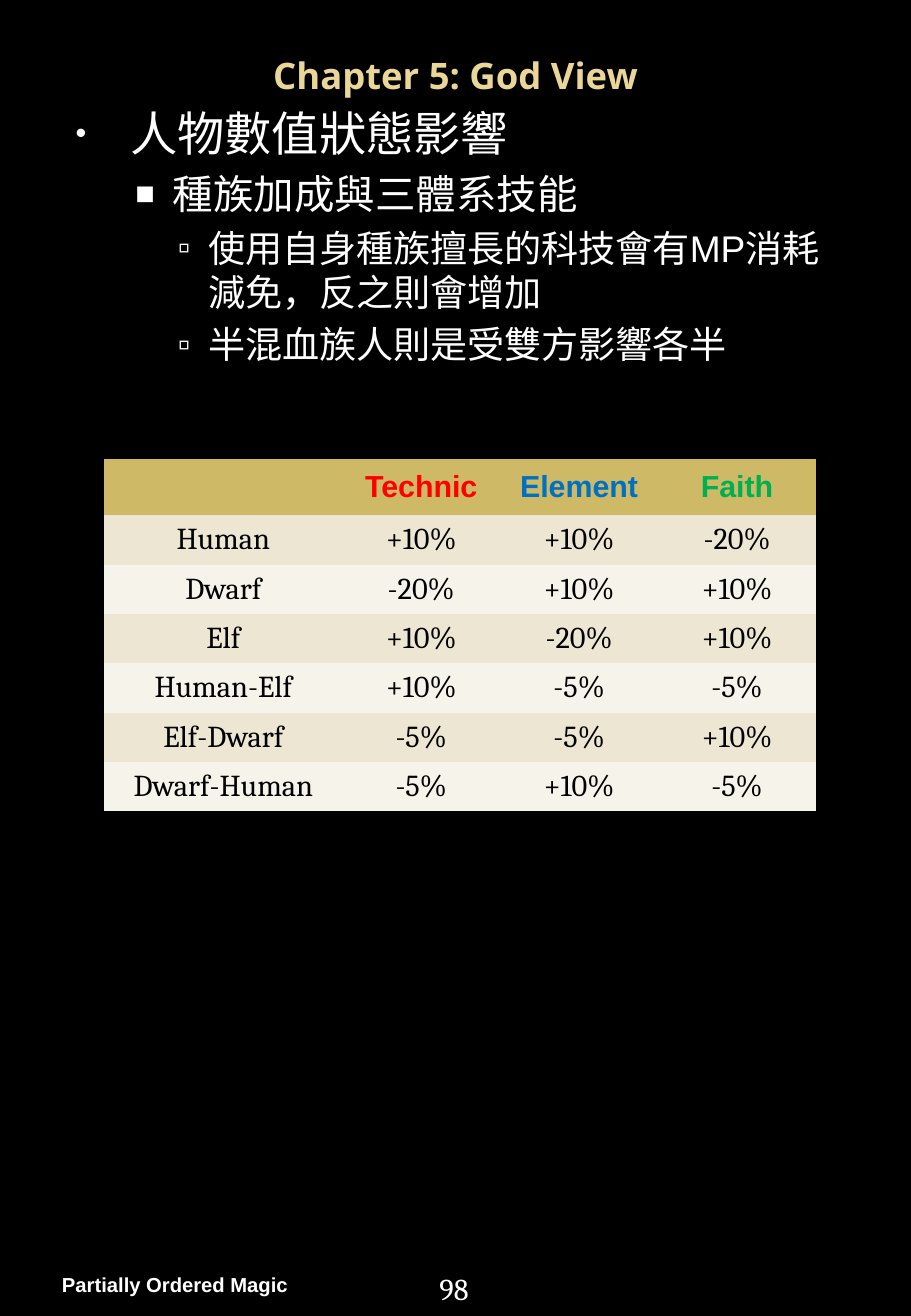
from dataclasses import dataclass

import pptx
import pptx.dml.color
import pptx.enum.text
import pptx.oxml
import pptx.oxml.ns
import pptx.util

Pt = pptx.util.Pt
RGB = pptx.dml.color.RGBColor
Align = pptx.enum.text.PP_ALIGN
Anchor = pptx.enum.text.MSO_ANCHOR
Fit = pptx.enum.text.MSO_AUTO_SIZE

BLACK = RGB(0x00, 0x00, 0x00)
WHITE = RGB(0xFF, 0xFF, 0xFF)
PALE = RGB(0xF9, 0xF9, 0xF9)
GOLD = RGB(0xCE, 0xB9, 0x66)
SAND = RGB(0xED, 0xE6, 0xD3)
CREAM = RGB(0xF6, 0xF3, 0xEA)
RED = RGB(0xFF, 0x00, 0x00)
BLUE = RGB(0x00, 0x70, 0xC0)
GREEN = RGB(0x00, 0xB0, 0x50)
LIGHT = RGB(0xEA, 0xD6, 0x96)
DEEP = RGB(0xE7, 0xD0, 0x81)
PLAIN_STYLE = "{2D5ABB26-0587-4C30-8999-92F81FD0307C}"


@dataclass
class Box:
    left: float
    top: float
    width: float
    height: float


@dataclass
class Look:
    size: float
    font: str
    color: RGB
    bold: bool = False


@dataclass
class Level:
    left: float
    hang: float
    size: float
    mark: str
    scale: int
    color: RGB


@dataclass
class Point:
    level: int
    text: str


LEVELS = [
    Level(43.2, 32.4, 28, "•", 65, PALE),
    Level(68.4, 22.3, 24, "■", 80, WHITE),
    Level(89.3, 18, 22, "▫", 95, WHITE),
]
POINTS = [
    Point(0, "人物數值狀態影響"),
    Point(1, "種族加成與三體系技能"),
    Point(2, "使用自身種族擅長的科技會有MP消耗減免，反之則會增加"),
    Point(2, "半混血族人則是受雙方影響各半"),
]
HEADS = [("", WHITE), ("Technic", RED), ("Element", BLUE), ("Faith", GREEN)]
RACES = [
    ("Human", "+10%", "+10%", "-20%"),
    ("Dwarf", "-20%", "+10%", "+10%"),
    ("Elf", "+10%", "-20%", "+10%"),
    ("Human-Elf", "+10%", "-5%", "-5%"),
    ("Elf-Dwarf", "-5%", "-5%", "+10%"),
    ("Dwarf-Human", "-5%", "+10%", "-5%"),
]


def add_run(para, text: str, look: Look):
    run = para.add_run()
    run.text = text
    font = run.font
    font.size, font.name, font.bold = Pt(look.size), look.font, look.bold
    font.color.rgb = look.color
    return run


def add_box(slide, box: Box):
    shape = slide.shapes.add_textbox(
        Pt(box.left), Pt(box.top), Pt(box.width), Pt(box.height))
    shape.text_frame.word_wrap = True
    return shape.text_frame


def set_level(para, level: Level) -> None:
    props = para._p.get_or_add_pPr()
    props.set("marL", str(Pt(level.left)))
    props.set("indent", str(-Pt(level.hang)))
    space = pptx.oxml.ns.nsdecls("a")
    for part in (
        f'<a:spcBef {space}><a:spcPct val="20000"/></a:spcBef>',
        f'<a:buClr {space}><a:srgbClr val="{level.color}"/></a:buClr>',
        f'<a:buSzPct {space} val="{level.scale * 1000}"/>',
        f'<a:buFont {space} typeface="Arial"/>',
        f'<a:buChar {space} char="{level.mark}"/>',
    ):
        props.append(pptx.oxml.parse_xml(part))


def add_title(slide, text: str, box: Box) -> None:
    title = slide.shapes.title
    title.left, title.top = Pt(box.left), Pt(box.top)
    title.width, title.height = Pt(box.width), Pt(box.height)
    frame = title.text_frame
    frame.auto_size = Fit.NONE
    frame.vertical_anchor = Anchor.MIDDLE
    para = frame.paragraphs[0]
    para.alignment = Align.CENTER
    run = add_run(para, text, Look(21.6, "Noto Sans", LIGHT, True))
    fill = run.font.fill
    fill.gradient()
    fill.gradient_angle = 280
    for stop, place, color in zip(fill.gradient_stops, (0.73, 1), (LIGHT, DEEP)):
        stop.position = place
        stop.color.rgb = color


def add_points(slide, points: list[Point], box: Box) -> None:
    frame = add_box(slide, box)
    for i, point in enumerate(points):
        para = frame.add_paragraph() if i else frame.paragraphs[0]
        level = LEVELS[point.level]
        para.level = point.level
        set_level(para, level)
        add_run(para, point.text, Look(level.size, "Arial", WHITE))


def fill_cell(cell, text: str, fill: RGB, look: Look) -> None:
    cell.fill.solid()
    cell.fill.fore_color.rgb = fill
    cell.vertical_anchor = Anchor.MIDDLE
    para = cell.text_frame.paragraphs[0]
    para.alignment = Align.CENTER
    if text:
        add_run(para, text, look)


def add_bonus(slide, box: Box) -> None:
    frame = slide.shapes.add_table(
        len(RACES) + 1, len(HEADS),
        Pt(box.left), Pt(box.top), Pt(box.width), Pt(box.height))
    table = frame.table
    table._tbl.tblPr.find(pptx.oxml.ns.qn("a:tableStyleId")).text = PLAIN_STYLE
    for i, col in enumerate(table.columns):
        col.width = Pt(93.6 if i else 141)
    for i, row in enumerate(table.rows):
        row.height = Pt(29.2 if i else 33.2)
    for c, (text, color) in enumerate(HEADS):
        fill_cell(table.cell(0, c), text, GOLD, Look(18, "Arial", color, True))
    for r, race in enumerate(RACES, 1):
        for c, text in enumerate(race):
            fill_cell(table.cell(r, c), text, SAND if r % 2 else CREAM,
                      Look(18, "Cambria", BLACK))


def main() -> None:
    deck = pptx.Presentation()
    deck.slide_width, deck.slide_height = Pt(540), Pt(779.76)
    slide = deck.slides.add_slide(deck.slide_layouts[5])
    slide.background.fill.solid()
    slide.background.fill.fore_color.rgb = BLACK

    # Footer and page number
    foot = add_box(slide, Box(28.08, 749.5, 185.8, 23))
    foot.margin_left = foot.margin_right = Pt(8.64)
    foot.margin_top = foot.margin_bottom = Pt(4.32)
    add_run(foot.paragraphs[0], "Partially Ordered Magic",
            Look(12, "Arial", WHITE, True))
    page = add_box(slide, Box(253.4, 748.8, 73.4, 28.8))
    add_run(page.paragraphs[0], "98", Look(18, "Cambria", WHITE))

    # Title, points and bonus table
    add_title(slide, "Chapter 5: God View", Box(27, 31, 486, 26.6))
    add_points(slide, POINTS, Box(27, 58.3, 486, 659.5))
    add_bonus(slide, Box(61.9, 272.2, 421.8, 208.4))

    deck.save("out.pptx")


if __name__ == "__main__":
    main()
